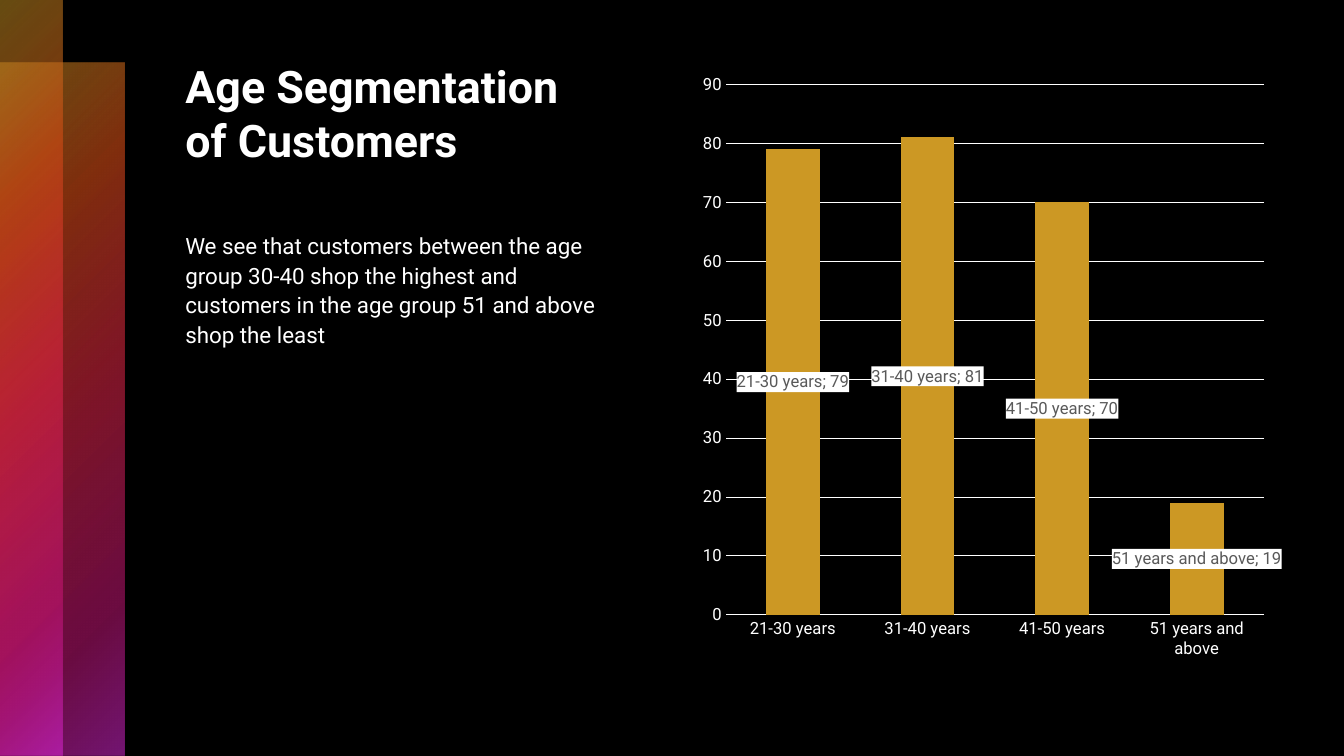
"""Build a slide on the age segmentation of customers with a column chart."""
from dataclasses import dataclass

from lxml import etree
from pptx import Presentation
from pptx import oxml
from pptx.chart import data as chart_data
from pptx.dml import color
from pptx.enum import chart as charts, shapes, text
from pptx.oxml import ns
from pptx.util import Cm, Pt

FONT = "Roboto"
WHITE, BLACK, GOLD, GREY = "FFFFFF", "000000", "CC9824", "595959"
AGE_COUNTS = {"21-30 years": 79, "31-40 years": 81, "41-50 years": 70, "51 years and above": 19}


@dataclass(frozen=True)
class Box:
    left: float
    top: float
    width: float
    height: float

    def lengths(self) -> tuple:
        return Cm(self.left), Cm(self.top), Cm(self.width), Cm(self.height)


@dataclass(frozen=True)
class Stop:
    position: int
    hex_color: str
    opacity: int


@dataclass(frozen=True)
class Band:
    box: Box
    middle: int


@dataclass(frozen=True)
class Passage:
    box: Box
    wording: str
    size: int
    bold: bool = False
    line_spacing: float = 1.0
    space_before: int = 0


BANDS = (
    Band(Box(0, 1.57, 3.15, 17.48), 50),
    Band(Box(0, 0, 1.57, 19.05), 49),
)
PASSAGES = (
    Passage(Box(4.42, 1.35, 11.23, 4.3), "Age Segmentation of Customers", 32, bold=True),
    Passage(
        Box(4.42, 5.66, 11.3, 10.64),
        "We see that customers between the age group 30-40 shop the highest and "
        "customers in the age group 51 and above shop the least",
        16, line_spacing=1.1, space_before=12,
    ),
)
CHART_BOX = Box(17.42, 1.57, 14.88, 15.34)


def rgb(hex_color: str) -> color.RGBColor:
    return color.RGBColor.from_string(hex_color)


def paint(fill, hex_color: str) -> None:
    fill.solid()
    fill.fore_color.rgb = rgb(hex_color)


def style_font(font, size: int, hex_color: str, bold: bool = False) -> None:
    font.name, font.size, font.bold = FONT, Pt(size), bold
    font.color.rgb = rgb(hex_color)


def radial_gradient(stops: tuple):
    stop_xml = "".join(
        f'<a:gs pos="{stop.position * 1000}"><a:srgbClr val="{stop.hex_color}">'
        f'<a:alpha val="{stop.opacity * 1000}"/></a:srgbClr></a:gs>'
        for stop in stops
    )
    return oxml.parse_xml(
        f'<a:gradFill {ns.nsdecls("a")} rotWithShape="1"><a:gsLst>{stop_xml}</a:gsLst>'
        '<a:path path="circle"><a:fillToRect r="100000" b="100000"/></a:path></a:gradFill>'
    )


def add_band(slide, band: Band) -> None:
    stripe = slide.shapes.add_shape(shapes.MSO_SHAPE.RECTANGLE, *band.box.lengths())
    stripe.shadow.inherit = False
    stripe.line.fill.background()
    stripe.fill.background()
    properties = stripe._element.spPr
    properties.replace(properties.find(ns.qn("a:noFill")), radial_gradient((
        Stop(0, GOLD, 50), Stop(25, "D54C17", 60), Stop(band.middle, "E72944", 55),
        Stop(81, "D51781", 50), Stop(99, "E729E2", 50),
    )))


def add_passage(slide, passage: Passage) -> None:
    frame = slide.shapes.add_textbox(*passage.box.lengths()).text_frame
    frame.word_wrap = True
    frame.vertical_anchor = text.MSO_ANCHOR.TOP
    paragraph = frame.paragraphs[0]
    paragraph.line_spacing = passage.line_spacing
    paragraph.space_before = Pt(passage.space_before)
    run = paragraph.add_run()
    run.text = passage.wording
    style_font(run.font, passage.size, WHITE, passage.bold)


def style_labels(labels) -> None:
    labels.show_value = labels.show_category_name = True
    labels.position = charts.XL_LABEL_POSITION.CENTER
    style_font(labels.font, 12, GREY)
    element = labels._element
    element.find(ns.qn("c:txPr")).addprevious(oxml.parse_xml(
        f'<c:spPr {ns.nsdecls("c", "a")}><a:solidFill><a:srgbClr val="{WHITE}"/>'
        '</a:solidFill></c:spPr>'
    ))
    separator = etree.Element(ns.qn("c:separator"))
    separator.text = "; "
    last_switch = element.find(ns.qn("c:showBubbleSize"))
    if last_switch is None:
        last_switch = element.find(ns.qn("c:showPercent"))
    last_switch.addnext(separator)


def add_age_chart(slide) -> None:
    ages = chart_data.CategoryChartData()
    ages.categories = list(AGE_COUNTS)
    ages.add_series("Series 1", list(AGE_COUNTS.values()))
    chart = slide.shapes.add_chart(
        charts.XL_CHART_TYPE.COLUMN_STACKED, *CHART_BOX.lengths(), ages
    ).chart
    chart.has_legend = chart.has_title = False
    style_font(chart.font, 10, WHITE)
    for axis in (chart.category_axis, chart.value_axis):
        axis.major_tick_mark = axis.minor_tick_mark = charts.XL_TICK_MARK.NONE
        axis.format.line.fill.background()
        style_font(axis.tick_labels.font, 12, WHITE)
    counts = chart.value_axis
    counts.minimum_scale, counts.maximum_scale, counts.major_unit = 0, 90, 10
    counts.has_major_gridlines = True
    gridline = counts.major_gridlines.format.line
    paint(gridline.fill, WHITE)
    gridline.width = Pt(0.75)
    columns = chart.plots[0]
    columns.gap_width, columns.overlap = 150, 100
    columns.vary_by_categories = False
    customers = columns.series[0]
    customers.invert_if_negative = False
    paint(customers.format.fill, GOLD)
    style_labels(customers.data_labels)


def main() -> None:
    deck = Presentation()
    deck.slide_width, deck.slide_height = Cm(33.87), Cm(19.05)
    slide = deck.slides.add_slide(deck.slide_layouts[6])
    paint(slide.background.fill, BLACK)
    for band in BANDS:
        add_band(slide, band)
    for passage in PASSAGES:
        add_passage(slide, passage)
    add_age_chart(slide)
    deck.save("out.pptx")


if __name__ == "__main__":
    main()
